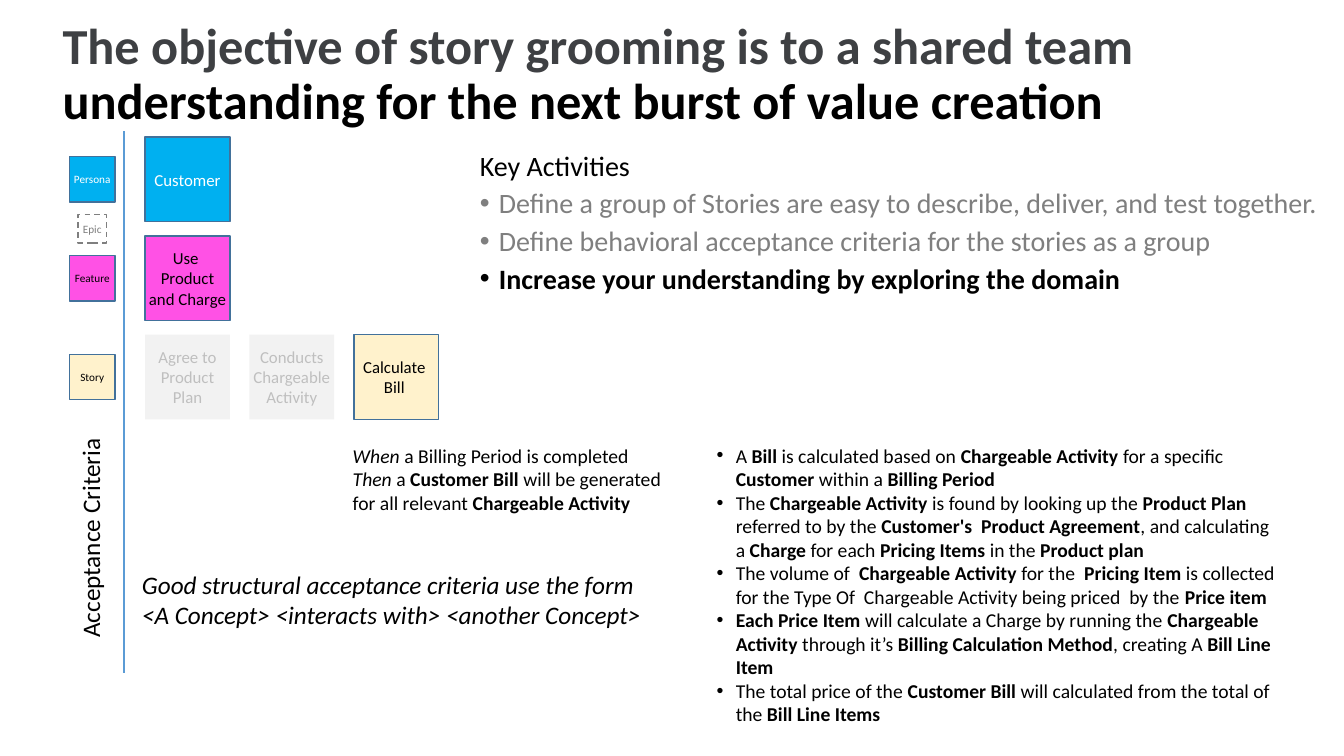
from lxml import etree
from pptx import Presentation
from pptx.dml.color import RGBColor
from pptx.enum import dml, shapes, text
from pptx.oxml import ns
from pptx.util import Inches, Pt

FONT = "Calibri"
COLORS = {
    "heading": "3E4043", "black": "000000", "white": "FFFFFF", "gray": "7F7F7F",
    "persona": "00B0F0", "feature": "FF51E5", "story": "FFF2CC",
    "faded": "F2F2F2", "faded text": "BFBFBF", "outline": "42719B", "divider": "5B9BD5",
}
COLUMN_LEFT, COLUMN_STEP = 1.44, 1.035
ROW_TOP, ROW_STEP = 1.36, 0.98
TILE, LABEL, EPIC = 0.84, 0.45, 0.28
LABEL_CENTER = 0.915


def color(name):
    return RGBColor.from_string(COLORS[name])


def write(frame, lines, size, ink="black", align=None, indent=0, hanging=0, before=0):
    """Fill a frame with lines; *stars* mark bold, _underscores_ italic, a leading • a bullet.

    A line is a string, or a (string, color name) pair.
    """
    frame.word_wrap = True
    for number, line in enumerate(lines):
        words, shade = (line, ink) if isinstance(line, str) else line
        para = frame.paragraphs[0] if number == 0 else frame.add_paragraph()
        para.alignment = align
        if number and before:
            para.space_before = Pt(before)
        properties = para._p.get_or_add_pPr()
        bulleted = words.startswith("•")
        if bulleted or not hanging:
            properties.set("marL", str(Inches(indent)))
            properties.set("indent", str(-Inches(hanging)))
        if bulleted:
            bullet_color = etree.SubElement(properties, ns.qn("a:buClr"))
            etree.SubElement(bullet_color, ns.qn("a:srgbClr"), val=COLORS[shade])
            etree.SubElement(properties, ns.qn("a:buFont"), typeface="Arial")
            etree.SubElement(properties, ns.qn("a:buChar"), char="•")
        for bold, piece in enumerate(words.lstrip("•").split("*")):
            for italic, part in enumerate(piece.split("_")):
                if part:
                    span = para.add_run()
                    span.text = part
                    span.font.name, span.font.size = FONT, Pt(size)
                    span.font.bold, span.font.italic = bold % 2 == 1, italic % 2 == 1
                    span.font.color.rgb = color(shade)


def add_card(center_x, center_y, side, lines, size, fill, line, ink):
    card = page.shapes.add_shape(
        shapes.MSO_SHAPE.RECTANGLE, Inches(center_x - side / 2),
        Inches(center_y - side / 2), Inches(side), Inches(side))
    card.shadow.inherit = False
    if fill:
        card.fill.solid()
        card.fill.fore_color.rgb = color(fill)
    else:
        card.fill.background()
    if line:
        card.line.color.rgb = color(line)
        card.line.width = Pt(1)
    else:
        card.line.fill.background()
    frame = card.text_frame
    frame.margin_left = frame.margin_right = Inches(0.03)
    frame.margin_top = frame.margin_bottom = Inches(0.03)
    frame.vertical_anchor = text.MSO_ANCHOR.MIDDLE
    write(frame, lines, size, ink, text.PP_ALIGN.CENTER)
    return card


deck = Presentation()
deck.slide_width, deck.slide_height = Inches(13.33), Inches(7.5)
page = deck.slides.add_slide(deck.slide_layouts[5])

# Title
title = page.shapes.title
title.left, title.top, title.width, title.height = map(Inches, (0.52, 0.16, 12.65, 1.08))
title.text_frame.vertical_anchor = text.MSO_ANCHOR.TOP
title.text_frame.auto_size = text.MSO_AUTO_SIZE.NONE
heading = title.text_frame.paragraphs[0]
heading.alignment = text.PP_ALIGN.LEFT
heading.line_spacing = 0.9
for words, shade in (("The objective of story grooming is to a shared team ", "heading"),
                     ("understanding for the next burst of value creation", "black")):
    span = heading.add_run()
    span.text = words
    span.font.name, span.font.size, span.font.bold = FONT, Pt(36), True
    span.font.color.rgb = color(shade)

# Legend
divider = page.shapes.add_connector(
    shapes.MSO_CONNECTOR.STRAIGHT, Inches(1.23), Inches(1.3), Inches(1.23), Inches(6.68))
divider.line.color.rgb = color("divider")
divider.line.width = Pt(0.75)
etree.SubElement(divider._element.spPr, ns.qn("a:effectLst"))

row_centers = [ROW_TOP + TILE / 2 + row * ROW_STEP for row in range(3)]
for center_y, name, fill, ink in zip(
        row_centers, ("Persona", "Feature", "Story"),
        ("persona", "feature", "story"), ("white", "black", "black")):
    add_card(LABEL_CENTER, center_y, LABEL, [name], 8, fill, "outline", ink)
epic = add_card(LABEL_CENTER, sum(row_centers[:2]) / 2, EPIC, ["Epic"], 8, None, "gray", "gray")
epic.line.dash_style = dml.MSO_LINE.DASH

# Story map
for column, row, lines, fill, line, ink in (
        (0, 0, ["Customer"], "persona", "outline", "white"),
        (0, 1, ["Use  Product and Charge "], "feature", "outline", "black"),
        (0, 2, ["Agree to Product Plan"], "faded", None, "faded text"),
        (1, 2, ["Conducts Chargeable Activity"], "faded", None, "faded text"),
        (2, 2, ["Calculate ", "Bill "], "story", "outline", "black")):
    add_card(COLUMN_LEFT + TILE / 2 + column * COLUMN_STEP, row_centers[row],
             TILE, lines, 12, fill, line, ink)

# Text blocks: place, lines, size, paragraph settings
key_activities = [
    "Key Activities",
    ("•Define a group of Stories are easy to describe, deliver, and test together.", "gray"),
    ("•Define behavioral acceptance criteria for the stories as a group", "gray"),
    "•*Increase your understanding by exploring the domain*",
]
behavior = [
    "_When _a Billing Period is completed",
    "_Then _a *Customer Bill *will be generated for all relevant *Chargeable Activity*",
]
structure = [
    "•A *Bill* is calculated based on *Chargeable Activity *for a specific *Customer*"
    " within a *Billing Period*",
    "•The *Chargeable Activity *is found by looking up the *Product Plan *referred to by the "
    "*Customer's  Product Agreement*, and calculating a *Charge *for each *Pricing Items *"
    "in the *Product plan*",
    "•The volume of  *Chargeable Activity *for the  *Pricing Item *is collected for the "
    "Type Of  Chargeable Activity being priced  by the *Price item*",
    "•*Each Price Item *will calculate a Charge by running the *Chargeable Activity *"
    "through it’s *Billing Calculation Method*, creating A *Bill Line Item*",
    "•The total price of the *Customer Bill* will calculated from the total of the "
    "*Bill Line Items*",
]
advice = ["_Good structural acceptance criteria use the form "
          "<A Concept> <interacts with> <another Concept>_"]
for place, lines, size, settings, rotation in (
        ((4.66, 1.42, 8.51, 1.57), key_activities, 20,
         {"indent": 0.19, "hanging": 0.19, "before": 3}, 0),
        ((3.39, 4.35, 3.31, 0.81), behavior, 14, {"indent": 0.01}, 0),
        ((7, 4.35, 5.77, 2.93), structure, 14, {"indent": 0.2, "hanging": 0.19}, 0),
        ((1.31, 5.6, 5.2, 0.71), advice, 18, {}, 0),
        ((-0.24, 5.09, 2.27, 0.4), ["Acceptance Criteria"], 18, {}, 270)):
    box = page.shapes.add_textbox(*map(Inches, place))
    box.rotation = rotation
    write(box.text_frame, lines, size, **settings)

deck.save("out.pptx")
